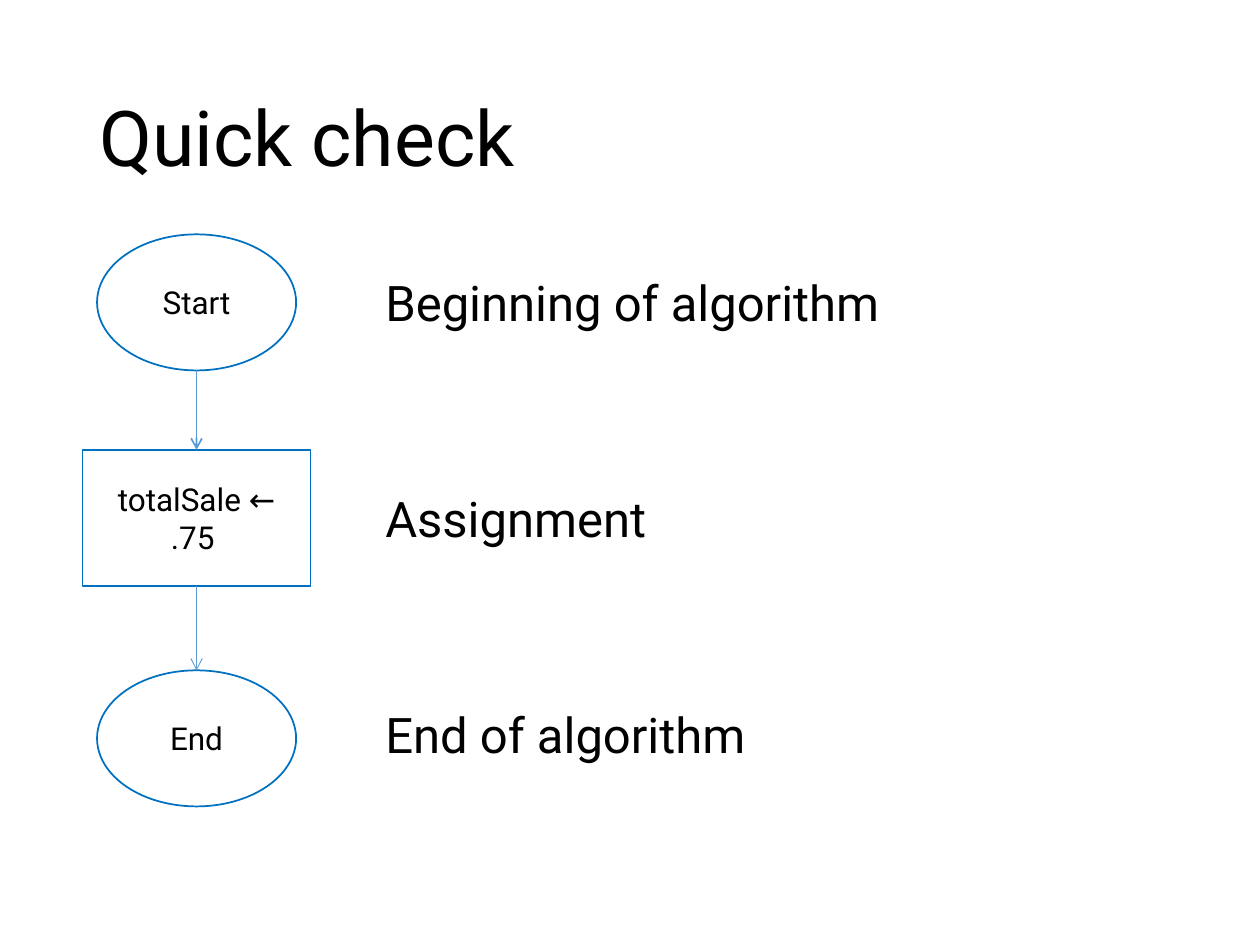
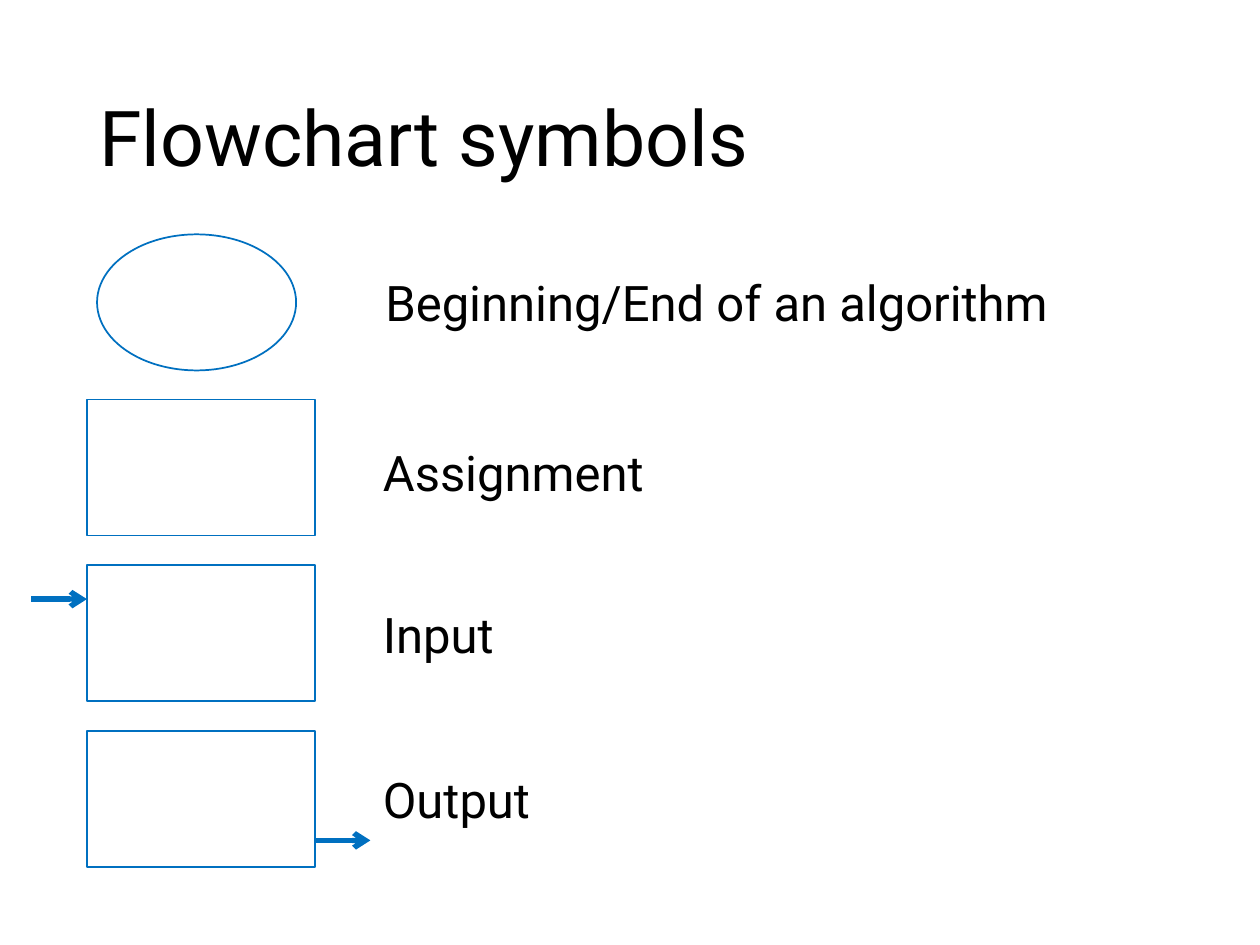
from dataclasses import dataclass

from lxml import etree
from pptx import Presentation
from pptx.dml.color import RGBColor
from pptx.enum.shapes import MSO_CONNECTOR, MSO_SHAPE
from pptx.enum.text import MSO_ANCHOR, PP_ALIGN
from pptx.oxml.ns import qn
from pptx.util import Inches, Pt

OVAL, RECT = MSO_SHAPE.OVAL, MSO_SHAPE.RECTANGLE
STRAIGHT = MSO_CONNECTOR.STRAIGHT
MIDDLE, TOP = MSO_ANCHOR.MIDDLE, MSO_ANCHOR.TOP
LEFT, CENTER = PP_ALIGN.LEFT, PP_ALIGN.CENTER


@dataclass(frozen=True)
class Theme:
    """Colours, font, type sizes and symbol sizes of the deck."""
    font: str = "Roboto"
    ink: RGBColor = RGBColor(0, 0, 0)
    paper: RGBColor = RGBColor(255, 255, 255)
    edge: RGBColor = RGBColor(0x00, 0x70, 0xC0)
    flow: RGBColor = RGBColor(0x5B, 0x9B, 0xD5)
    title: int = 44
    label: int = 28
    node: int = 18
    oval: float = 1.58
    rect: float = 1.81
    high: float = 1.08


THEME = Theme()


def write(shape, text, size, align=LEFT, anchor=TOP, space=None):
    """Put one styled run into a shape."""
    frame = shape.text_frame
    frame.word_wrap = True
    frame.vertical_anchor = anchor
    para = frame.paragraphs[0]
    para.alignment = align
    if space:
        para.line_spacing = space
    run = para.add_run()
    run.text = text
    run.font.name = THEME.font
    run.font.size = Pt(size)
    run.font.color.rgb = THEME.ink


def add_text(slide, box, text, size, **style):
    """Add a text box at box (left, top, width, height)."""
    shape = slide.shapes.add_textbox(*map(Inches, box))
    write(shape, text, size, **style)


def add_title(slide, text):
    """Add the slide title."""
    add_text(slide, (0.69, 0.4, 8.62, 1.45), text, THEME.title,
             anchor=MIDDLE, space=0.9)


def add_node(slide, kind, left, top, text=""):
    """Add an outlined flowchart symbol, with or without text."""
    width = THEME.oval if kind == OVAL else THEME.rect
    shape = slide.shapes.add_shape(
        kind, *map(Inches, (left, top, width, THEME.high)))
    shape.shadow.inherit = False
    shape.fill.solid()
    shape.fill.fore_color.rgb = THEME.paper
    shape.line.color.rgb = THEME.edge
    shape.line.width = Pt(1)
    if text:
        write(shape, text, THEME.node, CENTER, MIDDLE)


def add_arrow(slide, start, end, color, weight):
    """Add a straight line with an open arrowhead at its end."""
    line = slide.shapes.add_connector(STRAIGHT, *map(Inches, start + end))
    line.line.color.rgb = color
    line.line.width = Pt(weight)
    tail = etree.SubElement(line.line._get_or_add_ln(), qn("a:tailEnd"))
    tail.set("type", "arrow")
    etree.SubElement(line._element.spPr, qn("a:effectLst"))


def add_label(slide, left, top, text):
    """Add the meaning beside a symbol."""
    add_text(slide, (left, top, 5.75, 0.57), text, THEME.label)


def draw_check(slide, axis, left):
    """Draw a three-step flow centred on axis, with labels at left."""
    add_title(slide, "Quick check")
    steps = [
        (OVAL, 1.86, "Start", "Beginning of algorithm"),
        (RECT, 3.57, "totalSale ← .75 ", "Assignment"),
        (OVAL, 5.32, "End", "End of algorithm"),
    ]
    for index, (kind, top, text, label) in enumerate(steps):
        width = THEME.oval if kind == OVAL else THEME.rect
        add_node(slide, kind, axis - width / 2, top, text)
        add_label(slide, left, 2.11 + index * 1.715, label)
    for upper, lower, weight in zip(steps, steps[1:], (1, 0.5)):
        add_arrow(slide, (axis, upper[1] + THEME.high), (axis, lower[1]),
                  THEME.flow, weight)


def draw_key(slide, left, right):
    """Draw the symbol key: symbols at left, meanings at right."""
    add_title(slide, "Flowchart symbols")
    add_node(slide, OVAL, left + 0.08, 1.86)
    add_label(slide, right + 0.02, 2.11, "Beginning/End of an algorithm")
    tops = [3.17 + 1.315 * row for row in range(3)]
    names = ("Assignment", "Input", "Output")
    for top, name, drop in zip(tops, names, (0.29, 0.26, 0.26)):
        add_node(slide, RECT, left, top)
        add_label(slide, right, top + drop, name)
    reach, edge = 0.44, left + THEME.rect
    for tail, high in ((left - reach, tops[1] + 0.27),
                       (edge, tops[2] + 0.87)):
        add_arrow(slide, (tail, high), (tail + reach, high), THEME.edge, 3)


def main():
    """Build and save the deck."""
    deck = Presentation()
    deck.slide_width, deck.slide_height = Inches(10), Inches(7.5)
    blank = deck.slide_layouts[6]
    draw_check(deck.slides.add_slide(blank), 1.56, 2.96)
    draw_key(deck.slides.add_slide(blank), 0.69, 2.94)
    deck.save("out.pptx")


main()
